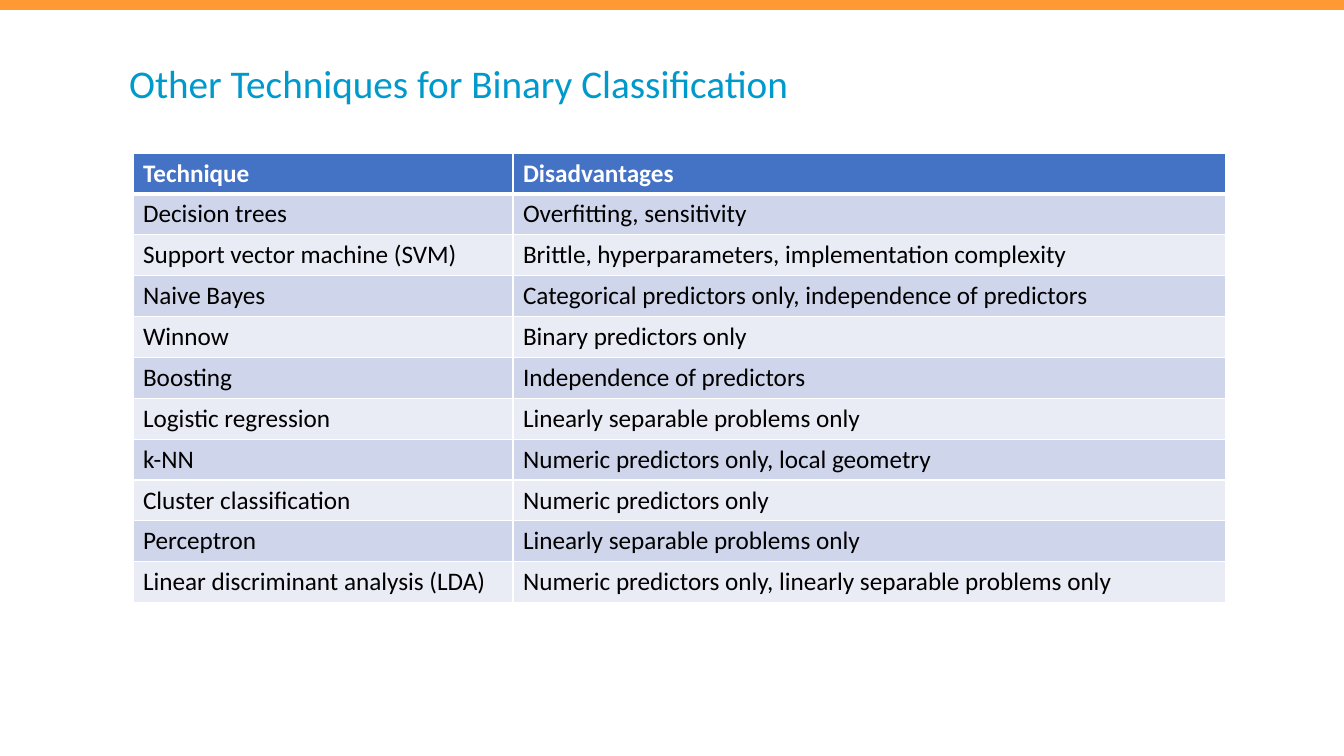
from lxml.etree import SubElement
from pptx import Presentation
from pptx.dml.color import RGBColor
from pptx.enum.shapes import MSO_SHAPE
from pptx.enum.text import MSO_ANCHOR, PP_ALIGN
from pptx.oxml.ns import qn
from pptx.util import Emu, Pt

PX = 914400 / 100.8
WIDTH, HEIGHT = 1344, 756
TITLE_ONLY = 5
FONT = "Calibri"

ORANGE = RGBColor(0xFF, 0x99, 0x33)
TITLE_BLUE = RGBColor(0x00, 0x99, 0xCC)
HEADER_BLUE = RGBColor(0x44, 0x72, 0xC4)
BAND_DARK = RGBColor(0xCF, 0xD5, 0xEA)
BAND_LIGHT = RGBColor(0xE9, 0xEB, 0xF5)
WHITE = RGBColor(0xFF, 0xFF, 0xFF)
BLACK = RGBColor(0x00, 0x00, 0x00)

TITLE = "Other Techniques for Binary Classification"
HEADER = ("Technique", "Disadvantages")
TECHNIQUES = [
    ("Decision trees", "Overfitting, sensitivity"),
    ("Support vector machine (SVM)", "Brittle, hyperparameters, implementation complexity"),
    ("Naive Bayes", "Categorical predictors only, independence of predictors"),
    ("Winnow", "Binary predictors only"),
    ("Boosting", "Independence of predictors"),
    ("Logistic regression", "Linearly separable problems only"),
    ("k-NN", "Numeric predictors only, local geometry"),
    ("Cluster classification", "Numeric predictors only"),
    ("Perceptron", "Linearly separable problems only"),
    ("Linear discriminant analysis (LDA)", "Numeric predictors only, linearly separable problems only"),
]


def px(length):
    return Emu(round(length * PX))


def add_run(paragraph, text, size, color, bold=False):
    run = paragraph.add_run()
    run.text = text
    run.font.name = FONT
    run.font.size = Pt(size)
    run.font.bold = bold
    run.font.color.rgb = color


def add_top_bar(slide, left, top, width, height):
    bar = slide.shapes.add_shape(MSO_SHAPE.RECTANGLE, px(left), px(top), px(width), px(height))
    bar.shadow.inherit = False
    bar.fill.solid()
    bar.fill.fore_color.rgb = ORANGE
    bar.line.fill.background()


def fill_title(slide, left, top, width, height):
    title = slide.shapes.title
    title.left, title.top, title.width, title.height = map(px, (left, top, width, height))
    frame = title.text_frame
    frame.word_wrap = True
    frame.vertical_anchor = MSO_ANCHOR.TOP
    paragraph = frame.paragraphs[0]
    paragraph.alignment = PP_ALIGN.LEFT
    add_run(paragraph, TITLE, 28, TITLE_BLUE)


def set_borders(cell, widths):
    properties = cell._tc.get_or_add_tcPr()
    for side, width in widths.items():
        line = SubElement(properties, qn(f"a:ln{side}"), w=str(Pt(width)))
        fill = SubElement(line, qn("a:solidFill"))
        SubElement(fill, qn("a:srgbClr"), val=str(WHITE))


def add_techniques_table(slide, left, top, width, height, first_column):
    rows = [HEADER, *TECHNIQUES]
    frame = slide.shapes.add_table(len(rows), len(HEADER), px(left), px(top), px(width), px(height))
    table = frame.table
    table.horz_banding = False
    table.columns[0].width = px(first_column)
    table.columns[1].width = px(width - first_column)
    for row_index, texts in enumerate(rows):
        is_header = row_index == 0
        band = BAND_DARK if row_index % 2 else BAND_LIGHT
        borders = {"L": 1, "R": 1, "T": 3 if row_index == 1 else 1, "B": 3 if is_header else 1}
        for column_index, text in enumerate(texts):
            cell = table.cell(row_index, column_index)
            set_borders(cell, borders)
            cell.fill.solid()
            cell.fill.fore_color.rgb = HEADER_BLUE if is_header else band
            color = WHITE if is_header else BLACK
            add_run(cell.text_frame.paragraphs[0], text, 18, color, is_header)


def add_techniques_slide(presentation):
    slide = presentation.slides.add_slide(presentation.slide_layouts[TITLE_ONLY])
    add_top_bar(slide, 0, 0, WIDTH, 10)
    fill_title(slide, 119, 54, 1077, 57)
    add_techniques_table(slide, 133, 153, 1093, 450, 380)


def main():
    presentation = Presentation()
    presentation.slide_width = px(WIDTH)
    presentation.slide_height = px(HEIGHT)
    add_techniques_slide(presentation)
    presentation.save("out.pptx")


if __name__ == "__main__":
    main()
